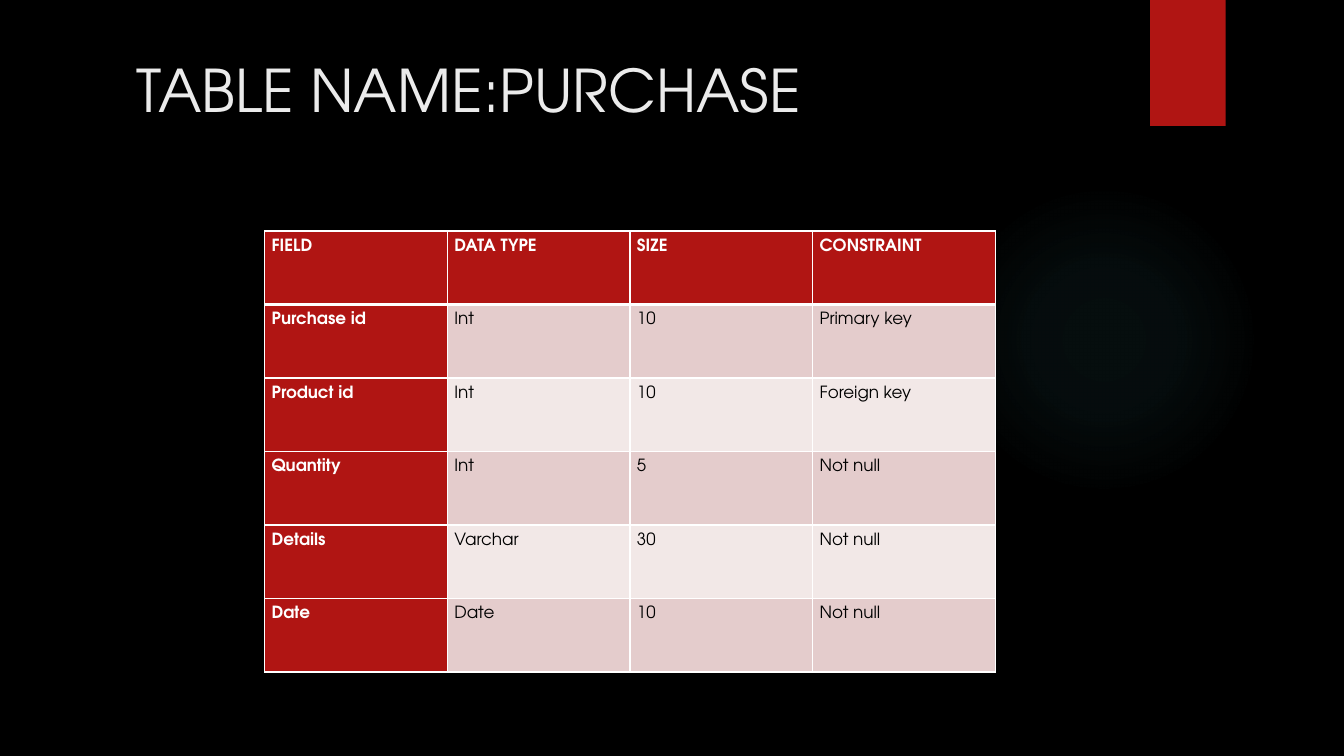
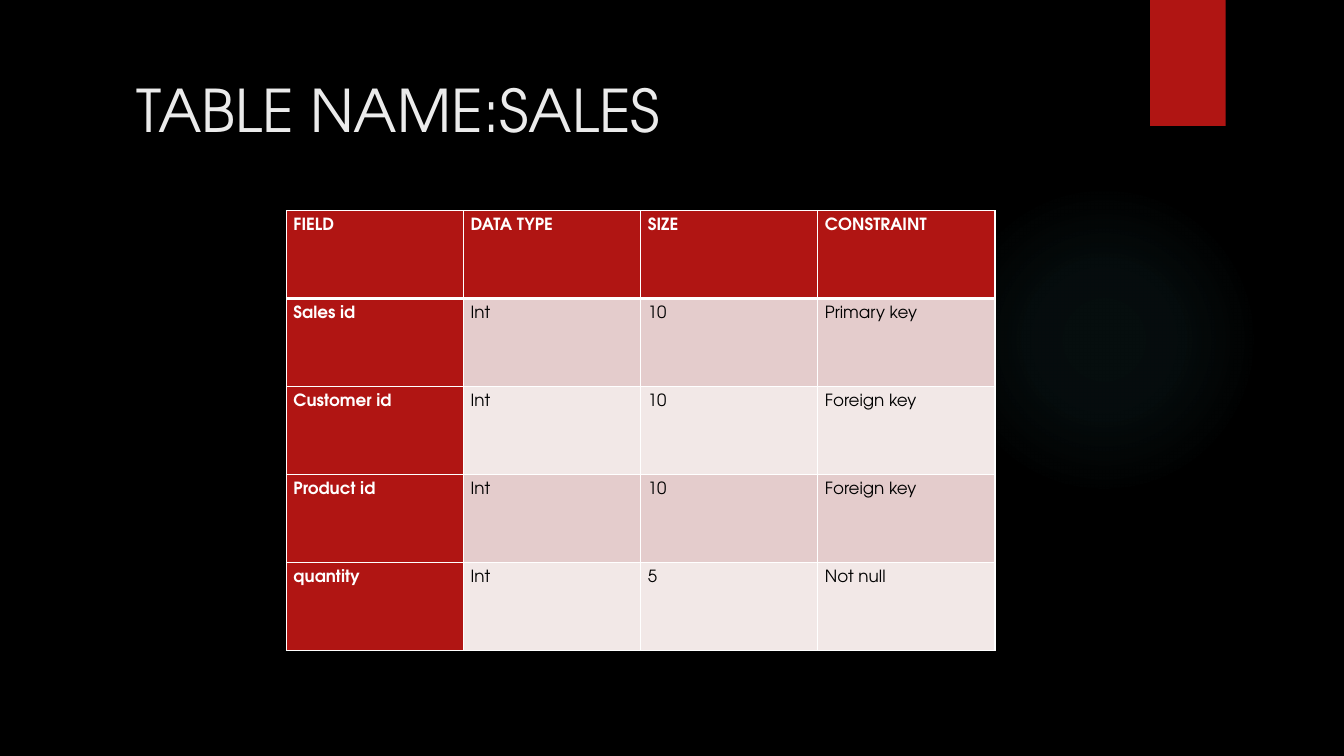
"""Build two slides that describe the purchase and sales tables."""
from pptx import Presentation, oxml, util as u
from pptx.dml import color
from pptx.enum import shapes, text
from pptx.oxml import ns

COLS, ROWS = 64, 36
RED, WHITE, BLACK, GLOW = "B01513", "FFFFFF", "000000", "50B9C1"
BANDS = ["E4CCCC", "F2E8E7"]
TITLE = {"name": "TeX Gyre Adventor", "size": u.Pt(42), "bold": False}
CELL = {"name": "TeX Gyre Adventor", "size": u.Pt(12)}
INSETS = {"margin_left": u.Inches(0.07), "margin_right": u.Inches(0.07),
          "margin_top": 0, "margin_bottom": 0}
HEADER = ["FIELD", "DATA TYPE", "SIZE", "CONSTRAINT"]
PURCHASE = [
    ["Purchase id", "Int", "10", "Primary key"],
    ["Product id", "Int", "10", "Foreign key"],
    ["Quantity", "Int", "5", "Not null"],
    ["Details", "Varchar", "30", "Not null"],
    ["Date", "Date", "10", "Not null"],
]
SALES = [
    ["Sales id", "Int", "10", "Primary key"],
    ["Customer id", "Int", "10", "Foreign key"],
    ["Product id", "Int", "10", "Foreign key"],
    ["quantity", "Int", "5", "Not null"],
]


def rgb(value):
    """Turn a hex string into a colour."""
    return color.RGBColor.from_string(value)


def apply(target, values):
    """Set each attribute of the target from a dict."""
    for name, value in values.items():
        setattr(target, name, value)


class Deck:
    """Hold the style, the presentation and the current slide."""

    def __init__(self):
        """Start a wide presentation with a black master."""
        self.prs = Presentation()
        self.prs.slide_width, self.prs.slide_height = u.Inches(40 / 3), u.Inches(7.5)
        fill = self.prs.slide_master.background.fill
        fill.solid()
        fill.fore_color.rgb = rgb(BLACK)

    def box(self, left, top, width, height):
        """Convert grid columns and rows to lengths."""
        col, row = self.prs.slide_width / COLS, self.prs.slide_height / ROWS
        return [u.Emu(round(n * unit)) for n, unit in
                zip((left, top, width, height), (col, row, col, row))]

    def slide(self):
        """Add a slide with the glow and the red tab."""
        self.s = self.prs.slides.add_slide(self.prs.slide_layouts[5])
        self.glow(45.17, 8.78, 14.78, 14.78)
        self.tab(54.77, 0, 3.6, 6)

    def shape(self, kind, place):
        """Add a preset shape without line or shadow."""
        sp = self.s.shapes.add_shape(kind, *self.box(*place))
        sp.line.fill.background()
        sp.shadow.inherit = False
        return sp

    def glow(self, *place):
        """Add a circle that fades outwards."""
        sp = self.shape(shapes.MSO_SHAPE.OVAL, place)
        stops = "".join(
            f'<a:gs pos="{pos}000"><a:srgbClr val="{GLOW}">'
            f'<a:alpha val="{alpha}000"/></a:srgbClr></a:gs>'
            for pos, alpha in ((0, 7), (36, 6), (69, 0)))
        geometry = sp._element.spPr.find(ns.qn("a:prstGeom"))
        geometry.addnext(oxml.parse_xml(
            f'<a:gradFill {ns.nsdecls("a")}><a:gsLst>{stops}</a:gsLst>'
            '<a:path path="circle"><a:fillToRect l="50000" t="50000" '
            'r="50000" b="50000"/></a:path></a:gradFill>'))

    def tab(self, *place):
        """Add the red tab at the top edge."""
        sp = self.shape(shapes.MSO_SHAPE.RECTANGLE, place)
        sp.fill.solid()
        sp.fill.fore_color.rgb = rgb(RED)

    def title(self, words, top, height):
        """Place and format the title placeholder."""
        sp = self.s.shapes.title
        place = self.box(6, top, 52, height)
        apply(sp, dict(zip(("left", "top", "width", "height"), place)))
        tf = sp.text_frame
        apply(tf, {"text": words, "word_wrap": True,
                   "auto_size": text.MSO_AUTO_SIZE.NONE,
                   "vertical_anchor": text.MSO_ANCHOR.TOP})
        p = tf.paragraphs[0]
        p.alignment = text.PP_ALIGN.LEFT
        apply(p.font, TITLE)
        p.font.color.rgb = rgb("EBEBEB")

    def table(self, rows, *place):
        """Add a table with a red header row and first column."""
        rows = [HEADER] + rows
        frame = self.s.shapes.add_table(len(rows), len(HEADER), *self.box(*place))
        for i, row in enumerate(rows):
            for j, words in enumerate(row):
                self.cell(frame.table.cell(i, j), words, i, j)

    def cell(self, cell, words, i, j):
        """Write and format one table cell."""
        heading = i == 0 or j == 0
        cell.text = words
        apply(cell, INSETS)
        widths = {"L": 1, "R": 1, "T": 3 if i == 1 else 1, "B": 3 if i == 0 else 1}
        for side, width in widths.items():
            cell._tc.get_or_add_tcPr().append(oxml.parse_xml(
                f'<a:ln{side} {ns.nsdecls("a")} w="{u.Pt(width)}"><a:solidFill>'
                f'<a:srgbClr val="{WHITE}"/></a:solidFill></a:ln{side}>'))
        cell.fill.solid()
        cell.fill.fore_color.rgb = rgb(RED if heading else BANDS[(i - 1) % 2])
        p = cell.text_frame.paragraphs[0]
        p.line_spacing = 1.5
        apply(p.font, {**CELL, "bold": heading})
        p.font.color.rgb = rgb(WHITE if heading else BLACK)


def main():
    """Build and save the slides."""
    deck = Deck()
    deck.slide()
    deck.title("TABLE NAME:PURCHASE", 2.3, 5.38)
    deck.table(PURCHASE, 12.6, 11, 34.8, 21)
    deck.slide()
    deck.title("TABLE NAME:SALES", 3.26, 4.75)
    deck.table(SALES, 13.64, 10.03, 33.75, 20.93)
    deck.prs.save("out.pptx")


if __name__ == "__main__":
    main()
